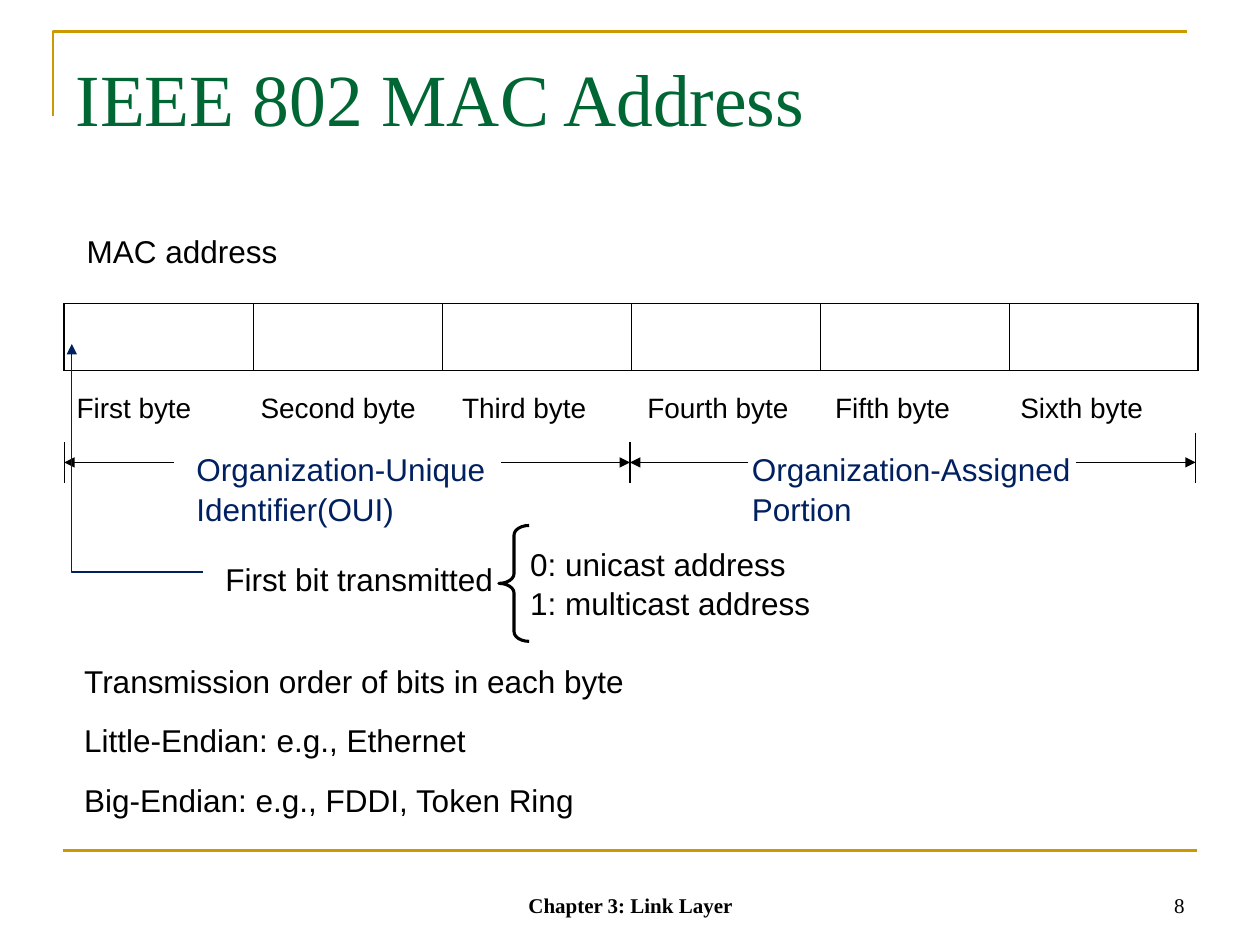
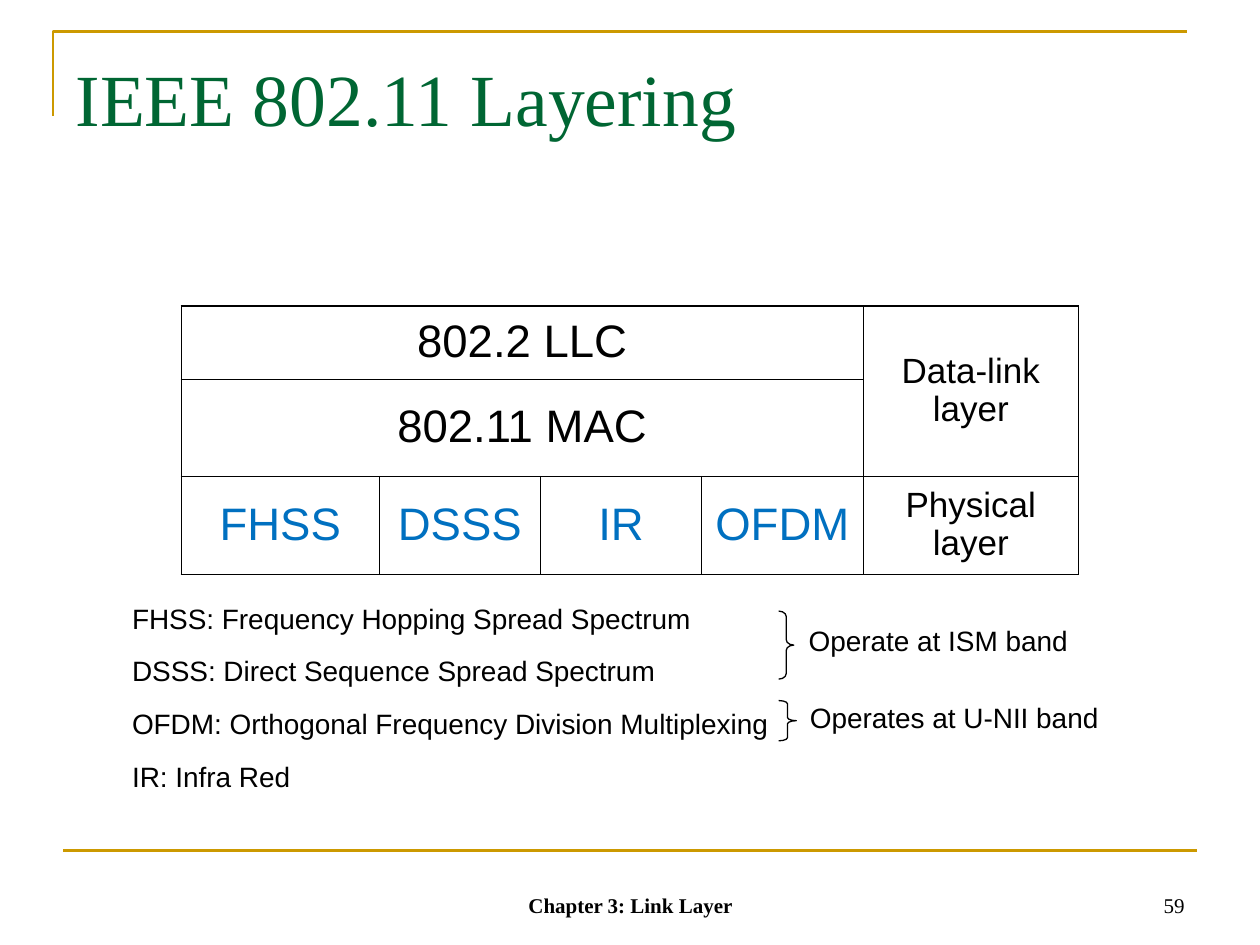
from dataclasses import dataclass

from lxml.etree import SubElement
from pptx import Presentation
from pptx.dml.color import RGBColor
from pptx.enum.shapes import MSO_CONNECTOR, MSO_SHAPE
from pptx.enum.text import MSO_ANCHOR, PP_ALIGN
from pptx.oxml.ns import qn
from pptx.util import Emu, Inches, Pt


@dataclass(frozen=True)
class Theme:
    gold: RGBColor = RGBColor(0xCC, 0x99, 0x00)
    green: RGBColor = RGBColor(0x00, 0x66, 0x33)
    navy: RGBColor = RGBColor(0x00, 0x20, 0x60)
    blue: RGBColor = RGBColor(0x00, 0x70, 0xC0)
    black: RGBColor = RGBColor(0, 0, 0)
    serif: str = "Times New Roman"
    sans: str = "Arial"
    title: int = 42
    protocol: int = 26
    layer: int = 20
    label: int = 18
    small: int = 16
    footer: int = 12
    rule: float = 1.5
    thin: float = 0.75
    inner_border: float = 0.45
    outer_border: float = 1.08
    line_spacing: float = 1.05
    cell_spacing: float = 0.97


THEME = Theme()
TITLE_ONLY = 5


def set_font(paragraph, size, color=THEME.black, name=THEME.sans, bold=False):
    font = paragraph.font
    font.size, font.name, font.bold = Pt(size), name, bold
    font.color.rgb = color


def set_line(shape, color, width):
    shape.line.color.rgb = color
    shape.line.width = Pt(width)


def add_arrowhead(shape):
    line = shape.element.find(".//" + qn("a:ln"))
    SubElement(line, qn("a:tailEnd"), type="triangle")


def add_line(slide, start, end, color=THEME.black, width=THEME.thin, arrow=False):
    points = [Inches(value) for value in (*start, *end)]
    line = slide.shapes.add_connector(MSO_CONNECTOR.STRAIGHT, *points)
    set_line(line, color, width)
    SubElement(line.element.spPr, qn("a:effectLst"))
    if arrow:
        add_arrowhead(line)


def add_polyline(slide, points, color, width):
    corners = [(Inches(x), Inches(y)) for x, y in points]
    builder = slide.shapes.build_freeform(*corners[0])
    builder.add_line_segments(corners[1:], close=False)
    polyline = builder.convert_to_shape()
    polyline.shadow.inherit = False
    polyline.fill.background()
    set_line(polyline, color, width)
    return polyline


def add_brace(slide, kind, box, curve, width=THEME.thin):
    """Draw a brace; curve is the corner radius as a share of its width."""
    brace = slide.shapes.add_shape(kind, *map(Inches, box))
    brace.shadow.inherit = False
    brace.fill.background()
    set_line(brace, THEME.black, width)
    brace.adjustments[0] = curve


def add_text(slide, box, lines, size=THEME.label, color=THEME.black, gap=0,
             name=THEME.sans, bold=False, align=PP_ALIGN.LEFT,
             anchor=MSO_ANCHOR.TOP, tabs=()):
    """Add one paragraph per line; gap is the space between them in points."""
    frame = slide.shapes.add_textbox(*map(Inches, box)).text_frame
    frame.word_wrap = True
    frame.vertical_anchor = anchor
    for index, line in enumerate(lines):
        paragraph = frame.add_paragraph() if index else frame.paragraphs[0]
        paragraph.text = line
        paragraph.alignment = align
        paragraph.line_spacing = THEME.line_spacing
        if index and gap:
            paragraph.space_before = Pt(gap)
        if tabs:
            stops = SubElement(paragraph._p.get_or_add_pPr(), qn("a:tabLst"))
            for stop in tabs:
                SubElement(stops, qn("a:tab"), pos=str(Inches(stop)), algn="l")
        set_font(paragraph, size, color, name, bold)


def set_borders(cell, outer_sides):
    properties = cell._tc.get_or_add_tcPr()
    for side in "LRTB":
        width = THEME.outer_border if side in outer_sides else THEME.inner_border
        border = SubElement(properties, qn(f"a:ln{side}"), w=str(Pt(width)))
        fill = SubElement(border, qn("a:solidFill"))
        SubElement(fill, qn("a:srgbClr"), val=str(THEME.black))


def add_grid(slide, left, top, column_widths, row_heights):
    """Add an unfilled table with a heavier border around the outside."""
    rows, columns = len(row_heights), len(column_widths)
    grid = slide.shapes.add_table(
        rows, columns, Inches(left), Inches(top),
        Inches(sum(column_widths)), Inches(sum(row_heights))).table
    grid.first_row = grid.horz_banding = False
    for column, width in zip(grid.columns, column_widths):
        column.width = Inches(width)
    for row, height in zip(grid.rows, row_heights):
        row.height = Inches(height)
    for r in range(rows):
        for c in range(columns):
            edges = {"L": c == 0, "R": c == columns - 1,
                     "T": r == 0, "B": r == rows - 1}
            cell = grid.cell(r, c)
            set_borders(cell, [side for side, outer in edges.items() if outer])
            cell.fill.background()
    return grid


def fill_cell(cell, text, size, color=THEME.black):
    cell.text = text
    cell.vertical_anchor = MSO_ANCHOR.MIDDLE
    paragraph = cell.text_frame.paragraphs[0]
    paragraph.alignment = PP_ALIGN.CENTER
    paragraph.line_spacing = THEME.cell_spacing
    set_font(paragraph, size, color)


def add_slide(deck, heading, number):
    slide = deck.slides.add_slide(deck.slide_layouts[TITLE_ONLY])
    add_polyline(slide, [(0.42, 0.92), (0.42, 0.25), (9.42, 0.25)],
                 THEME.gold, THEME.rule)
    add_line(slide, (0.5, 6.75), (9.5, 6.75), THEME.gold, THEME.rule)

    title = slide.shapes.title
    title.left, title.top = Inches(0.5), Inches(0.3)
    title.width, title.height = Inches(9), Inches(1.25)
    frame = title.text_frame
    frame.text = heading
    frame.vertical_anchor = MSO_ANCHOR.TOP
    frame.margin_top = Inches(0.12)
    frame.paragraphs[0].alignment = PP_ALIGN.LEFT
    set_font(frame.paragraphs[0], THEME.title, THEME.green, THEME.serif)

    footer = {"size": THEME.footer, "name": THEME.serif, "anchor": MSO_ANCHOR.BOTTOM}
    add_text(slide, (7.17, 6.83, 2.33, 0.5), [str(number)],
             align=PP_ALIGN.RIGHT, **footer)
    add_text(slide, (3.42, 6.83, 3.17, 0.5), ["Chapter 3: Link Layer"],
             align=PP_ALIGN.CENTER, bold=True, **footer)
    return slide


def build_mac_address(deck):
    slide = add_slide(deck, "IEEE 802 MAC Address", 8)
    add_text(slide, (0.59, 1.78, 1.8, 0.4), ["MAC address"])
    add_grid(slide, 0.51, 2.41, [1.5] * 6, [0.53])
    ordinals = ["First", "Second", "Third", "Fourth", "Fifth", "Sixth"]
    add_text(slide, (0.51, 3.04, 8.9, 0.37),
             ["\t".join(f"{ordinal} byte" for ordinal in ordinals)],
             THEME.small, tabs=(1.46, 3.06, 4.53, 6.02, 7.49))

    for x, top in ((0.51, 3.51), (5, 3.51), (9.49, 3.44)):
        add_line(slide, (x, top), (x, 3.83))
    for tail, tip in ((1.38, 0.51), (3.98, 5), (5.94, 5), (8.54, 9.49)):
        add_line(slide, (tail, 3.67), (tip, 3.67), arrow=True)
    add_text(slide, (1.46, 3.51, 2.52, 0.7),
             ["Organization-Unique Identifier(OUI)"], color=THEME.navy)
    add_text(slide, (5.87, 3.51, 2.76, 0.7),
             ["Organization-Assigned Portion"], color=THEME.navy)

    first_bit = add_polyline(slide, [(1.61, 4.54), (0.57, 4.54), (0.57, 2.73)],
                             THEME.navy, THEME.thin)
    add_arrowhead(first_bit)
    add_text(slide, (1.69, 4.38, 5.78, 0.4), ["First bit transmitted"])
    add_brace(slide, MSO_SHAPE.LEFT_BRACE, (3.96, 4.17, 0.24, 0.92), 0.32, 1.75)
    add_text(slide, (4.11, 4.26, 5, 0.7),
             ["0: unicast address", "1: multicast address"])
    add_text(slide, (0.57, 5.19, 8.58, 1.32),
             ["Transmission order of bits in each byte",
              "Little-Endian: e.g., Ethernet",
              "Big-Endian: e.g., FDDI, Token Ring"], gap=11.2)


def build_layering(deck):
    slide = add_slide(deck, "IEEE 802.11 Layering", 59)
    stack = add_grid(slide, 1.44, 2.43, [1.57, 1.28, 1.28, 1.28, 1.71],
                     [0.58, 0.77, 0.78])
    for row, protocol in enumerate(["802.2 LLC", "802.11 MAC"]):
        stack.cell(row, 0).merge(stack.cell(row, 3))
        fill_cell(stack.cell(row, 0), protocol, THEME.protocol)
    stack.cell(0, 4).merge(stack.cell(1, 4))
    for row, layer in ((0, "Data-link layer"), (2, "Physical layer")):
        fill_cell(stack.cell(row, 4), layer, THEME.layer)
    for column, radio in enumerate(["FHSS", "DSSS", "IR", "OFDM"]):
        fill_cell(stack.cell(2, column), radio, THEME.protocol, THEME.blue)

    add_text(slide, (0.95, 4.71, 5.46, 1.59),
             ["FHSS: Frequency Hopping Spread Spectrum",
              "DSSS: Direct Sequence Spread Spectrum",
              "OFDM: Orthogonal Frequency Division Multiplexing",
              "IR: Infra Red"], THEME.small, gap=10)
    add_brace(slide, MSO_SHAPE.RIGHT_BRACE, (6.18, 4.85, 0.12, 0.54), 0.36)
    add_text(slide, (6.32, 4.89, 2.9, 0.37), ["Operate at ISM band"], THEME.small)
    add_brace(slide, MSO_SHAPE.RIGHT_BRACE, (6.18, 5.56, 0.14, 0.32), 0.18)
    add_text(slide, (6.33, 5.5, 2.9, 0.37), ["Operates at U-NII band"], THEME.small)


def main():
    deck = Presentation()
    deck.slide_width, deck.slide_height = Inches(10), Inches(7.5)
    build_mac_address(deck)
    build_layering(deck)
    deck.save("out.pptx")


if __name__ == "__main__":
    main()
